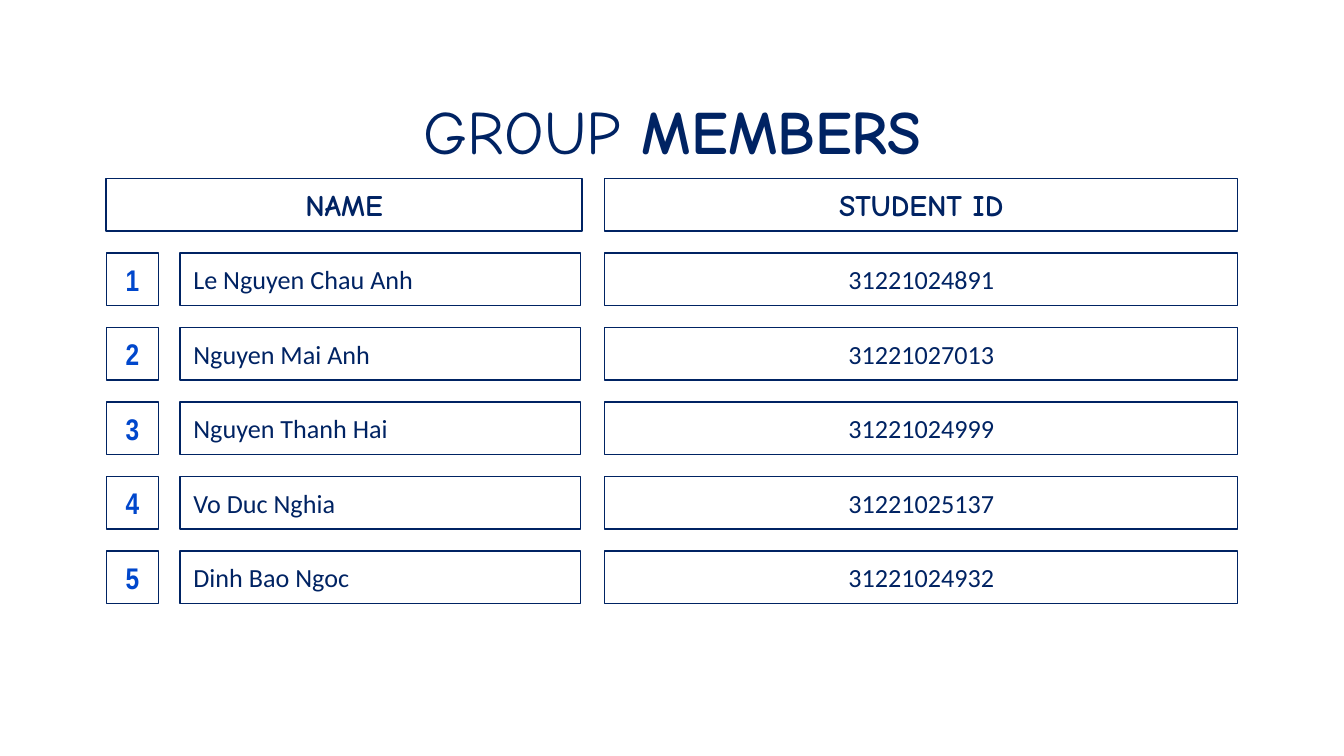
from pptx import Presentation
from pptx.dml.color import RGBColor
from pptx.enum.shapes import MSO_SHAPE
from pptx.enum.text import MSO_ANCHOR, MSO_AUTO_SIZE, PP_ALIGN
from pptx.util import Inches, Pt

RECT = MSO_SHAPE.RECTANGLE
TOP, MIDDLE = MSO_ANCHOR.TOP, MSO_ANCHOR.MIDDLE
LEFT, CENTER = PP_ALIGN.LEFT, PP_ALIGN.CENTER
FIXED = MSO_AUTO_SIZE.NONE
NAVY, BLUE = "002363", "0047CC"
HEAD, BODY, DIGIT = "Comic Neue", "Calibri", "Arial Narrow"


def write(shape, text, size=14, font=BODY, color=NAVY, bold=False,
          align=CENTER, anchor=MIDDLE):
    """Add a run to the first paragraph of a shape."""
    frame = shape.text_frame
    frame.word_wrap = True
    frame.auto_size = FIXED
    frame.vertical_anchor = anchor
    frame.margin_left = frame.margin_right = Inches(0.1)
    frame.margin_top = frame.margin_bottom = Inches(0.1)
    para = frame.paragraphs[0]
    para.alignment = align
    run = para.add_run()
    run.text = text
    run.font.size = Pt(size)
    run.font.name = font
    run.font.bold = bold
    run.font.color.rgb = RGBColor.from_string(color)


def box(left, top, width, text, **style):
    """Draw an outlined cell with text."""
    cell = slide.shapes.add_shape(
        RECT, Inches(left), Inches(top), Inches(width), Inches(0.39))
    cell.shadow.inherit = False
    cell.fill.background()
    cell.line.color.rgb = RGBColor.from_string(NAVY)
    cell.line.width = Pt(0.75)
    write(cell, text, **style)


# Slide in 16:9
deck = Presentation()
deck.slide_width = Inches(10)
deck.slide_height = Inches(10 * 9 / 16)
slide = deck.slides.add_slide(deck.slide_layouts[5])

# Title
title = slide.shapes.title
title.left, title.top = Inches(0.79), Inches(0.59)
title.width, title.height = Inches(8.43), Inches(0.69)
write(title, "GROUP ", size=33, font=HEAD, anchor=TOP)
write(title, "MEMBERS", size=33, font=HEAD, bold=True, anchor=TOP)

# Column heads
first, last = 1.33, 4.1
box(0.79, first, 3.54, "NAME", size=16, font=HEAD, bold=True)
box(4.5, first, 4.71, "STUDENT ID", size=16, font=HEAD, bold=True)

# Member rows
members = [
    ("Le Nguyen Chau Anh", "31221024891"),
    ("Nguyen Mai Anh", "31221027013"),
    ("Nguyen Thanh Hai", "31221024999"),
    ("Vo Duc Nghia", "31221025137"),
    ("Dinh Bao Ngoc", "31221024932"),
]
step = (last - first) / len(members)
for row, (name, code) in enumerate(members, 1):
    top = first + row * step
    box(0.79, top, 0.39, str(row), size=16, font=DIGIT, color=BLUE, bold=True)
    box(1.34, top, 2.98, name, align=LEFT)
    box(4.5, top, 4.71, code)

deck.save("out.pptx")
